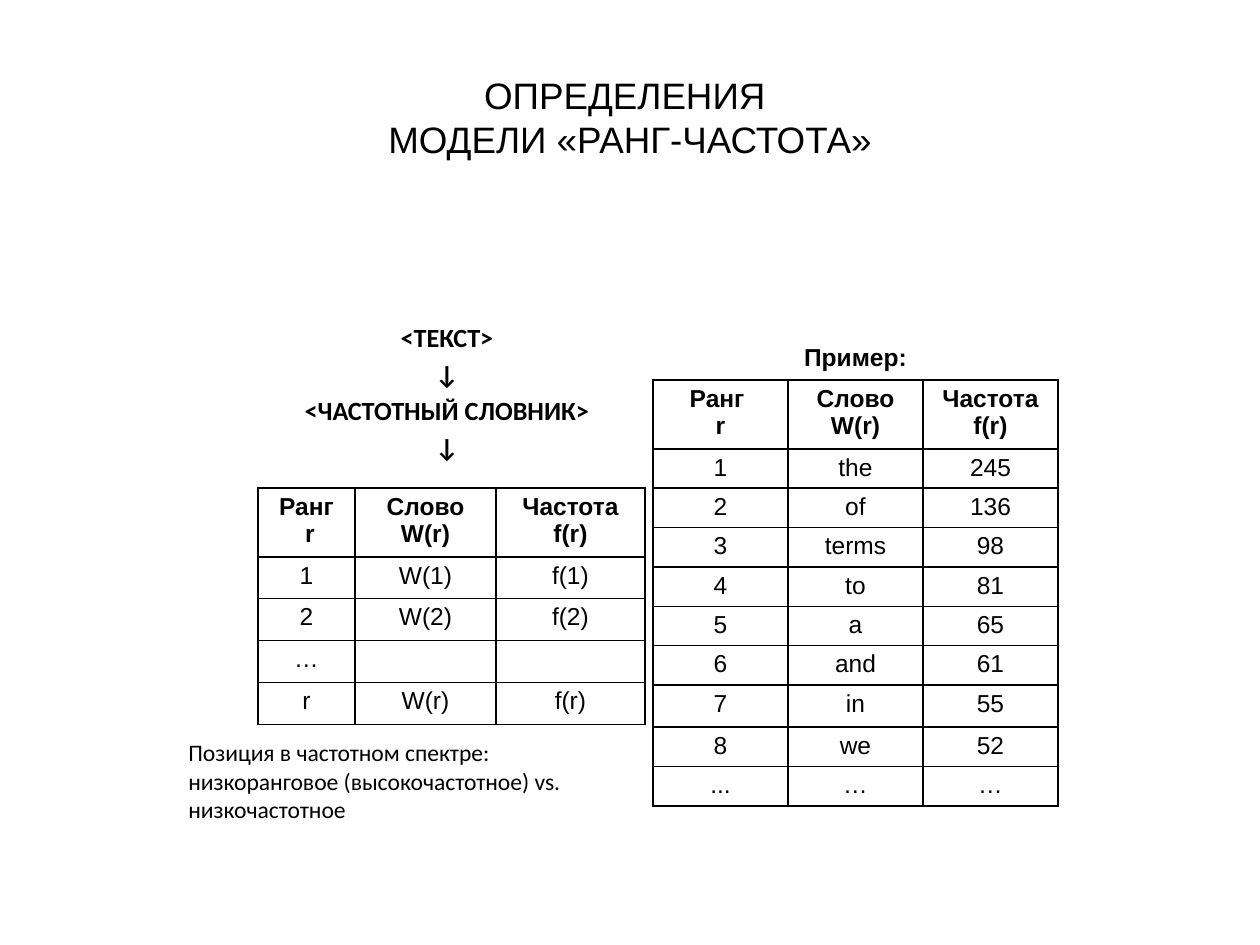
"""Builds a slide with the definitions of the rank-frequency model."""
from lxml import etree
from pptx import Presentation
from pptx.dml.color import RGBColor
from pptx.enum.text import MSO_ANCHOR, PP_ALIGN
from pptx.oxml.ns import qn
from pptx.util import Emu, Pt

CENTER, LEFT = PP_ALIGN.CENTER, PP_ALIGN.LEFT
TOP, MIDDLE = MSO_ANCHOR.TOP, MSO_ANCHOR.MIDDLE
BLACK = RGBColor(0, 0, 0)
PX = 914400 / 126
BORDERS = ("a:lnL", "a:lnR", "a:lnT", "a:lnB")

HEADER = ["Слово W(r)", "Частота f(r)"]
MODEL_ROWS = [
    ["Ранг\v r", *HEADER],
    ["1", "W(1)", "f(1)"],
    ["2", "W(2)", "f(2)"],
    ["…", "", ""],
    ["r", "W(r)", "f(r)"],
]
EXAMPLE_ROWS = [
    ["Пример:", "", ""],
    ["Ранг \vr", *HEADER],
    ["1", "the", "245"],
    ["2", "of", "136"],
    ["3", "terms", "98"],
    ["4", "to", "81"],
    ["5", "a", "65"],
    ["6", "and", "61"],
    ["7", "in", "55"],
    ["8", "we", "52"],
    ["...", "…", "…"],
]
TEXTS = [
    ((63, 18, 1134, 198), ["ОПРЕДЕЛЕНИЯ \vМОДЕЛИ «РАНГ-ЧАСТОТА»"],
     "Arial", 21, False, CENTER, MIDDLE, 0),
    ((244, 315, 406, 380), ["<ТЕКСТ>", "↓", "<ЧАСТОТНЫЙ СЛОВНИК>", "↓"],
     "Calibri", 15, True, CENTER, TOP, 3),
    ((176, 732, 473, 98),
     ["Позиция в частотном спектре: низкоранговое (высокочастотное) vs. низкочастотное"],
     "Calibri", 13.5, False, LEFT, TOP, 0),
]
TABLES = [
    (258, 488, [97, 141, 149], [66] + [42] * 4, MODEL_ROWS, 1),
    (653, 339, [135] * 3, [41, 66] + [38] * 6 + [42, 38, 38], EXAMPLE_ROWS, 2),
]


def px(value):
    return Emu(round(value * PX))


def format_paragraph(paragraph, font_name, size, bold, alignment, space):
    paragraph.alignment = alignment
    paragraph.space_before = Pt(space)
    for run in paragraph.runs:
        run.font.name = font_name
        run.font.size = Pt(size)
        run.font.bold = bold
        run.font.color.rgb = BLACK


presentation = Presentation()
presentation.slide_width, presentation.slide_height = px(1260), px(945)
slide = presentation.slides.add_slide(presentation.slide_layouts[6])

for box, lines, font_name, size, bold, alignment, anchor, space in TEXTS:
    text_frame = slide.shapes.add_textbox(*map(px, box)).text_frame
    text_frame.word_wrap = True
    text_frame.vertical_anchor = anchor
    text_frame.text = "\n".join(lines)
    for paragraph in text_frame.paragraphs:
        format_paragraph(paragraph, font_name, size, bold, alignment, space)

for left, top, widths, heights, rows, bold_rows in TABLES:
    table = slide.shapes.add_table(
        len(rows), len(widths), px(left), px(top), px(sum(widths)), px(sum(heights))
    ).table
    table.first_row = table.horz_banding = False
    for column, width in zip(table.columns, widths):
        column.width = px(width)
    for row, height in zip(table.rows, heights):
        row.height = px(height)
    for row_index, texts in enumerate(rows):
        is_caption = texts[0] == "Пример:"
        if is_caption:
            table.cell(row_index, 0).merge(table.cell(row_index, len(widths) - 1))
        for column_index, text in enumerate(texts):
            cell = table.cell(row_index, column_index)
            cell.margin_left = cell.margin_right = px(9)
            cell.margin_top = cell.margin_bottom = px(5)
            paragraph = cell.text_frame.paragraphs[0]
            paragraph.text = text
            format_paragraph(paragraph, "Arial", 14, row_index < bold_rows, CENTER, 2.8)
            if not text:
                etree.SubElement(paragraph._p, qn("a:endParaRPr"), sz="1400")
            properties = cell._tc.get_or_add_tcPr()
            for border in BORDERS:
                line = etree.SubElement(properties, qn(border), w="12700")
                if is_caption and border != "a:lnB":
                    etree.SubElement(line, qn("a:noFill"))
                else:
                    fill = etree.SubElement(line, qn("a:solidFill"))
                    etree.SubElement(fill, qn("a:srgbClr"), val=str(BLACK))
            cell.fill.background()

presentation.save("out.pptx")
